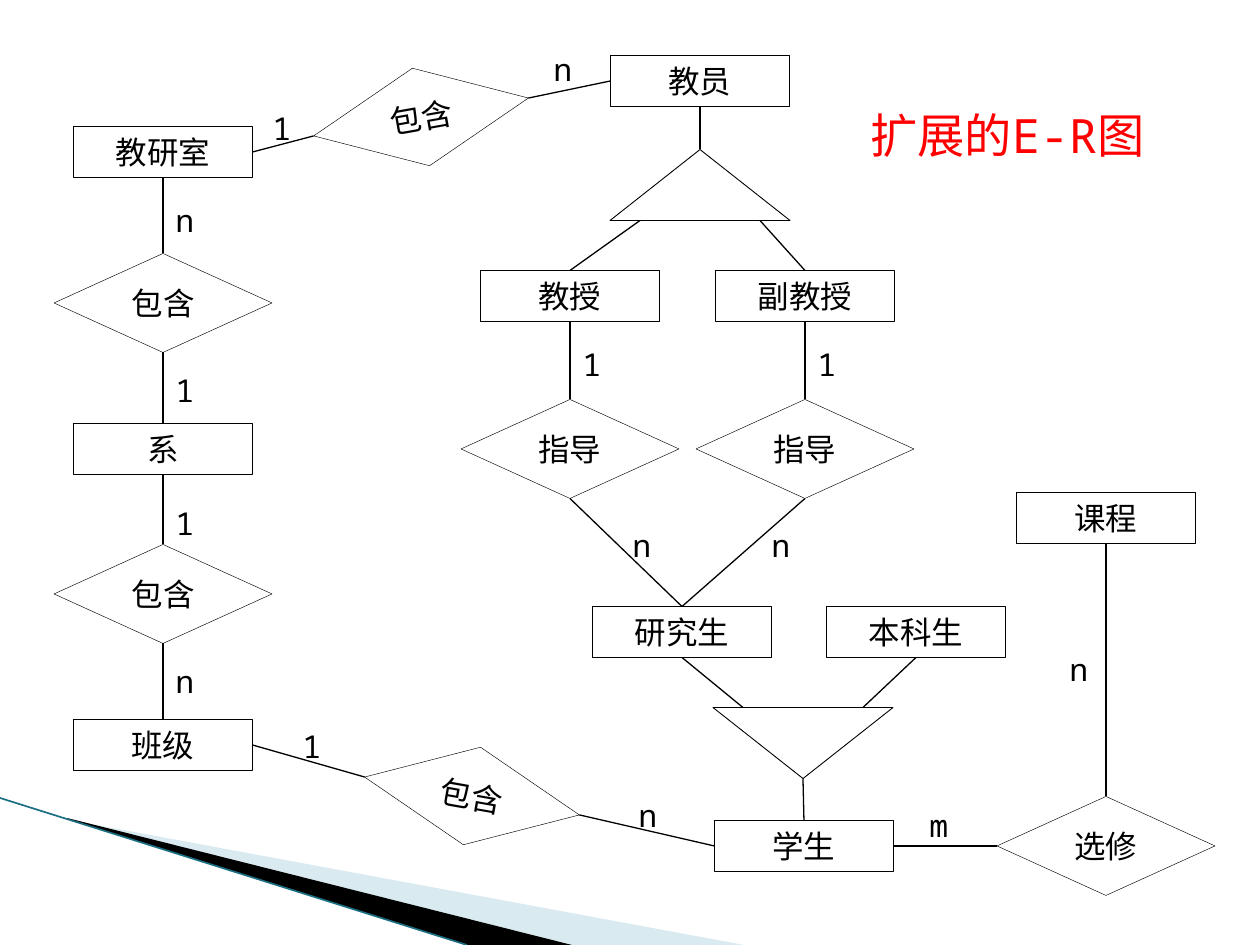
import math
from dataclasses import dataclass

import lxml.etree
import pptx
import pptx.dml.color
import pptx.enum.shapes
import pptx.enum.text
import pptx.oxml.ns
import pptx.util

EMU_PER_PX = 914400 / 126
SHAPE = pptx.enum.shapes.MSO_SHAPE
ALIGN = pptx.enum.text.PP_ALIGN
qn = pptx.oxml.ns.qn


@dataclass(frozen=True)
class Theme:
    font: str = "Noto Sans Mono"
    ink: str = "000000"
    title: str = "FF0000"
    wedge: str = "A0CBDC"
    edge: str = "1B6F82"
    body_size: int = 18
    title_size: int = 27
    link_width: float = 0.75


THEME = Theme()


@dataclass(frozen=True)
class Kind:
    preset: int
    width: int
    height: int
    line_width: float


ENTITY = Kind(SHAPE.RECTANGLE, 179, 51, 0.75)
RELATION = Kind(SHAPE.DIAMOND, 218, 99, 0.25)
SUBTYPE = Kind(SHAPE.ISOSCELES_TRIANGLE, 180, 71, 0.5)

# Ports, as fractions of width and height from the centre
TOP, BOTTOM, LEFT, RIGHT = (0, -0.5), (0, 0.5), (-0.5, 0), (0.5, 0)
BASE_LEFT, BASE_RIGHT = (-1 / 3, 0.5), (1 / 3, 0.5)


@dataclass(frozen=True)
class Node:
    kind: Kind
    x: int
    y: int
    text: str = ""
    rotation: int = 0

    def port(self, side: tuple) -> tuple:
        """Point on the outline, turned with the node."""
        dx, dy = side[0] * self.kind.width, side[1] * self.kind.height
        turn = math.radians(self.rotation)
        return (self.x + dx * math.cos(turn) - dy * math.sin(turn),
                self.y + dx * math.sin(turn) + dy * math.cos(turn))


# Entities
LEFT_X, PROF_X, ASSOC_X, COURSE_X = 163, 570, 805, 1106
office = Node(ENTITY, LEFT_X, 152, "教研室")
department = Node(ENTITY, LEFT_X, 449, "系")
class_group = Node(ENTITY, LEFT_X, 745, "班级")
teacher = Node(ENTITY, 700, 81, "教员")
professor = Node(ENTITY, PROF_X, 296, "教授")
associate = Node(ENTITY, ASSOC_X, 296, "副教授")
graduate = Node(ENTITY, 682, 632, "研究生")
undergraduate = Node(ENTITY, 916, 632, "本科生")
student = Node(ENTITY, 804, 846, "学生")
course = Node(ENTITY, COURSE_X, 518, "课程")

# Relations and subtype triangles
office_teacher = Node(RELATION, 421, 117, "包含", 350)
department_office = Node(RELATION, LEFT_X, 303, "包含")
department_class = Node(RELATION, LEFT_X, 594, "包含")
class_student = Node(RELATION, 472, 796, "包含", 10)
professor_guides = Node(RELATION, PROF_X, 449, "指导")
associate_guides = Node(RELATION, ASSOC_X, 449, "指导")
takes = Node(RELATION, COURSE_X, 846, "选修")
teacher_types = Node(SUBTYPE, 700, 185)
student_types = Node(SUBTYPE, 803, 743, rotation=180)

NODES = [office, department, class_group, teacher, professor, associate,
         graduate, undergraduate, student, course, office_teacher,
         department_office, department_class, class_student,
         professor_guides, associate_guides, takes, teacher_types,
         student_types]

LINKS = [
    (office, RIGHT, office_teacher, LEFT),
    (office_teacher, RIGHT, teacher, LEFT),
    (office, BOTTOM, department_office, TOP),
    (department_office, BOTTOM, department, TOP),
    (department, BOTTOM, department_class, TOP),
    (department_class, BOTTOM, class_group, TOP),
    (class_group, RIGHT, class_student, LEFT),
    (class_student, RIGHT, student, LEFT),
    (teacher, BOTTOM, teacher_types, TOP),
    (teacher_types, BASE_LEFT, professor, TOP),
    (teacher_types, BASE_RIGHT, associate, TOP),
    (professor, BOTTOM, professor_guides, TOP),
    (associate, BOTTOM, associate_guides, TOP),
    (professor_guides, BOTTOM, graduate, TOP),
    (associate_guides, BOTTOM, graduate, TOP),
    (graduate, BOTTOM, student_types, BASE_RIGHT),
    (undergraduate, BOTTOM, student_types, BASE_LEFT),
    (student_types, TOP, student, TOP),
    (student, RIGHT, takes, LEFT),
    (takes, TOP, course, BOTTOM),
]

# Cardinalities: text, left, top
LABEL_WIDTH, LABEL_HEIGHT = 49, 50
CARDINALITIES = [
    ("1", 260, 103), ("n", 541, 44),
    ("n", LEFT_X, 195), ("1", LEFT_X, 365),
    ("1", LEFT_X, 498), ("n", LEFT_X, 656),
    ("1", 290, 721), ("n", 626, 790),
    ("1", PROF_X, 339), ("1", ASSOC_X, 339),
    ("n", 620, 520), ("n", 759, 520),
    ("n", 1057, 644), ("m", 917, 800),
]


def px(value: float) -> int:
    return round(value * EMU_PER_PX)


def rgb(code: str) -> pptx.dml.color.RGBColor:
    return pptx.dml.color.RGBColor.from_string(code)


def write(shape, text: str, *, size: int = THEME.body_size,
          color: str = THEME.ink, align=ALIGN.LEFT, grow: bool = True) -> None:
    frame = shape.text_frame
    frame.word_wrap = True
    if grow:
        frame.auto_size = pptx.enum.text.MSO_AUTO_SIZE.SHAPE_TO_FIT_TEXT
    paragraph = frame.paragraphs[0]
    paragraph.alignment = align
    run = paragraph.add_run()
    run.text = text
    run.font.size = pptx.util.Pt(size)
    run.font.name = THEME.font
    run.font.color.rgb = rgb(color)
    east_asian = lxml.etree.SubElement(run.font._element, qn("a:ea"))
    east_asian.set("typeface", THEME.font)


def draw_text_box(slide, text: str, left: int, top: int, width: int,
                  height: int, **text_format) -> None:
    box = slide.shapes.add_textbox(px(left), px(top), px(width), px(height))
    write(box, text, **text_format)


def draw_line(slide, start: tuple, end: tuple, color: str = THEME.ink,
              width: float = THEME.link_width) -> None:
    line = slide.shapes.add_connector(
        pptx.enum.shapes.MSO_CONNECTOR.STRAIGHT,
        *(px(value) for value in (*start, *end)))
    line.line.color.rgb = rgb(color)
    line.line.width = pptx.util.Pt(width)
    lxml.etree.SubElement(line._element.spPr, qn("a:effectLst"))


def draw_node(slide, node: Node) -> None:
    kind = node.kind
    shape = slide.shapes.add_shape(
        kind.preset, px(node.x - kind.width / 2), px(node.y - kind.height / 2),
        px(kind.width), px(kind.height))
    shape.rotation = node.rotation
    shape.shadow.inherit = False
    shape.fill.background()
    shape.line.color.rgb = rgb(THEME.ink)
    shape.line.width = pptx.util.Pt(kind.line_width)
    if node.text:
        write(shape, node.text, align=ALIGN.CENTER, grow=kind is ENTITY)


def draw_wedge(slide, points: list, color: str, opacity: int = 100) -> None:
    builder = slide.shapes.build_freeform(*points[0], scale=EMU_PER_PX)
    builder.add_line_segments(points[1:], close=True)
    wedge = builder.convert_to_shape()
    wedge.shadow.inherit = False
    wedge.fill.solid()
    wedge.fill.fore_color.rgb = rgb(color)
    wedge.line.fill.background()
    if opacity < 100:
        fill_color = wedge._element.spPr.find(".//" + qn("a:srgbClr"))
        alpha = lxml.etree.SubElement(fill_color, qn("a:alpha"))
        alpha.set("val", str(opacity * 1000))


def main() -> None:
    deck = pptx.Presentation()
    deck.slide_width, deck.slide_height = px(1260), px(945)
    slide = deck.slides.add_slide(deck.slide_layouts[6])

    # Corner decoration
    draw_wedge(slide, [(69, 820), (744, 945), (573, 945), (69, 819)],
               THEME.wedge, opacity=40)
    draw_wedge(slide, [(67, 818), (572, 945), (466, 945), (68, 819)], THEME.ink)
    draw_line(slide, (0, 798), (467, 945), THEME.edge, 0.95)

    # Diagram
    for start, start_side, end, end_side in LINKS:
        draw_line(slide, start.port(start_side), end.port(end_side))
    for node in NODES:
        draw_node(slide, node)
    for text, left, top in CARDINALITIES:
        draw_text_box(slide, text, left, top, LABEL_WIDTH, LABEL_HEIGHT)

    # Title
    draw_text_box(slide, "扩展的E-R图", 858, 100, 300, 71,
                  size=THEME.title_size, color=THEME.title)
    deck.save("out.pptx")


if __name__ == "__main__":
    main()
